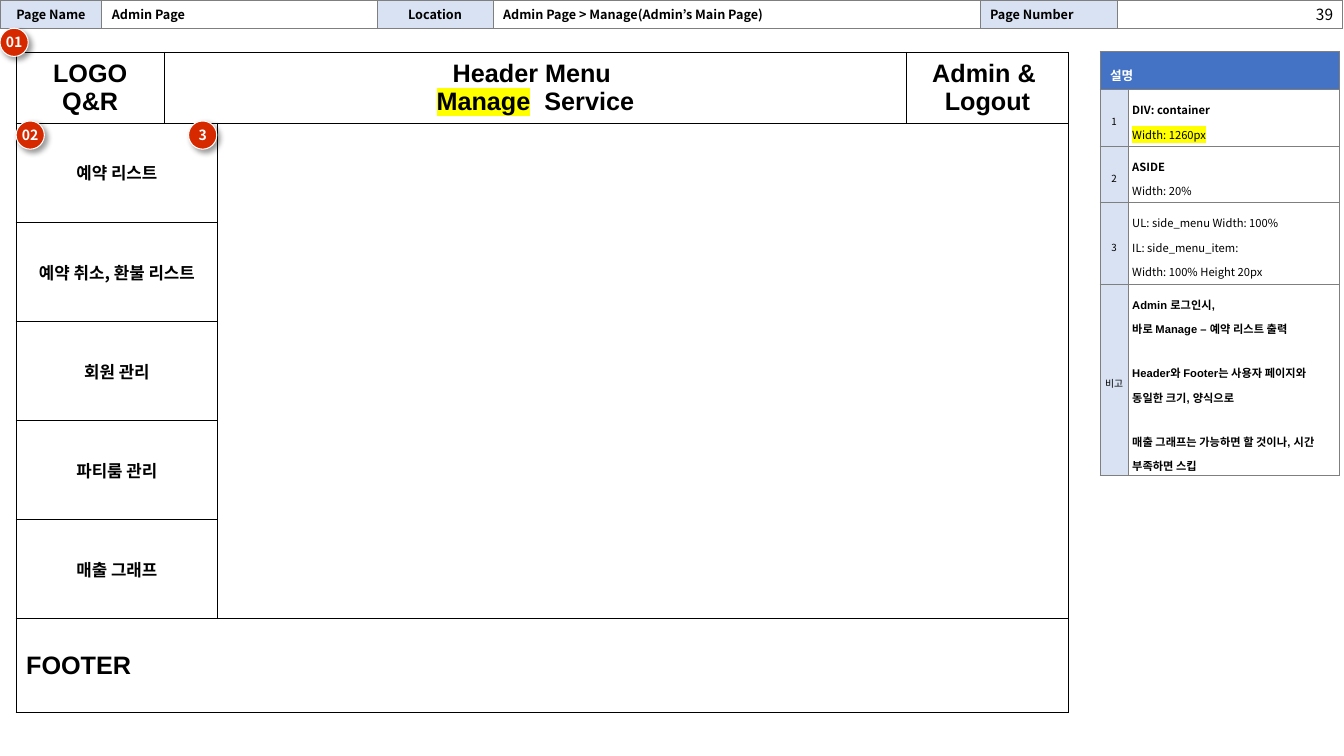
"""Build the admin page wireframe slide with its header bar and description table."""
from lxml.etree import SubElement
from pptx import Presentation
from pptx.dml.color import RGBColor
from pptx.enum.shapes import MSO_SHAPE as Shape
from pptx.enum.text import MSO_ANCHOR as Anchor, PP_ALIGN as Align
from pptx.oxml import parse_xml
from pptx.oxml.ns import nsdecls, qn
from pptx.util import Inches, Pt

KOREAN = "Noto Sans CJK KR"
HIGHLIGHTED = ("Manage", "Width: 1260px")
WHITE, PALE_BLUE, BLUE, RED, GREY, BLACK = "FFFFFF", "D8E2F3", "4472C4", "D62900", "7F7F7F", "000000"
MARGINS = ("margin_left", "margin_top", "margin_right", "margin_bottom")


def write(paragraphs_owner, lines, size, bold=False, font=KOREAN, color=BLACK, align=Align.LEFT, spacing=1.0):
    for index, line in enumerate(lines):
        paragraph = paragraphs_owner.paragraphs[0] if index == 0 else paragraphs_owner.add_paragraph()
        head, _, tail = line.partition("|")
        paragraph.text = head
        if tail:
            paragraph.add_run().text = tail
        paragraph.alignment, paragraph.line_spacing = align, spacing
        if not line:
            SubElement(paragraph._p, qn("a:endParaRPr"), sz=str(size * 100))
        for run in paragraph.runs:
            for key, value in {"size": Pt(size), "bold": bold, "name": font}.items():
                setattr(run.font, key, value)
            run.font.color.rgb = RGBColor.from_string(color)
            properties = run.font._element
            SubElement(properties, qn("a:ea"), typeface=KOREAN)
            if run.text in HIGHLIGHTED:
                properties.find(qn("a:solidFill")).addnext(parse_xml(
                    f'<a:highlight {nsdecls("a")}><a:srgbClr val="FFFF00"/></a:highlight>'))


def add_grid(left, top, widths, heights, edge, contents, merges=()):
    grid = slide.shapes.add_table(len(heights), len(widths), Inches(left), Inches(top),
                                  Inches(sum(widths)), Inches(sum(heights))).table
    grid.first_row = grid.horz_banding = False
    for column, width in zip(grid.columns, widths):
        column.width = Inches(width)
    for row, height in zip(grid.rows, heights):
        row.height = Inches(height)
    for r in range(len(heights)):
        for c in range(len(widths)):
            fill, lines, style, margins = contents.get((r, c), (WHITE, [""], {"size": 8}, (0.1, 0.05) * 2))
            cell = grid.cell(r, c)
            for name, margin in zip(MARGINS, margins):
                setattr(cell, name, Inches(margin))
            cell.vertical_anchor = Anchor.MIDDLE
            for side in "LRTB":
                cell._tc.get_or_add_tcPr().append(parse_xml(
                    f'<a:ln{side} {nsdecls("a")} w="9525"><a:solidFill><a:srgbClr val="{edge}"/>'
                    f'</a:solidFill></a:ln{side}>'))
            cell.fill.solid()
            cell.fill.fore_color.rgb = RGBColor.from_string(fill)
            write(cell.text_frame, lines, **style)
    for start, end in merges:
        grid.cell(*start).merge(grid.cell(*end))
    return grid


deck = Presentation()
deck.slide_width, deck.slide_height = Inches(13.33), Inches(7.5)
slide = deck.slides.add_slide(deck.slide_layouts[6])
normal_margins, number_margins, note_margins = (0.1, 0.05) * 2, (0, 0.05) * 2, (0.04,) * 4

page_labels = ["Page Name", "Admin Page", "Location", "Admin Page > Manage(Admin’s Main Page)", "Page Number", ""]
page_info = {}
for column, label in enumerate(page_labels):
    align = Align.CENTER if label in ("Page Name", "Location") else Align.LEFT
    page_info[0, column] = (WHITE if column % 2 else PALE_BLUE, [label],
                            {"size": 9, "bold": True, "align": align}, normal_margins)
add_grid(0, 0, [1.01, 2.73, 1.15, 4.83, 1.36, 2.24], [0.28], GREY, page_info)

page_number = slide.shapes.add_textbox(Inches(11.07), 0, Inches(2.25), Inches(0.25)).text_frame
page_number.word_wrap = True
write(page_number, ["39"], 11, align=Align.RIGHT)

banner = {"size": 18, "bold": True, "font": "Arial", "align": Align.CENTER}
wireframe = {
    (0, 0): (WHITE, ["LOGO", "Q&R"], banner, normal_margins),
    (0, 1): (WHITE, ["Header Menu ", "Manage|  Service"], banner, normal_margins),
    (0, 3): (WHITE, ["Admin & \vLogout"], banner, normal_margins),
    (6, 0): (WHITE, ["FOOTER"], banner | {"align": Align.LEFT}, normal_margins),
}
side_menu = ["예약 리스트", "예약 취소, 환불 리스트", "회원 관리", "파티룸 관리", "매출 그래프"]
for row, item in enumerate(side_menu, 1):
    wireframe[row, 0] = (WHITE, [item], {"size": 12, "bold": True, "align": Align.CENTER}, normal_margins)
wireframe_merges = [((0, 1), (0, 2)), ((1, 2), (5, 3)), ((6, 0), (6, 3))]
wireframe_merges += [((row, 0), (row, 1)) for row in range(1, 6)]
add_grid(0.16, 0.52, [1.47, 0.53, 6.83, 1.61], [0.67] + [0.984] * 5 + [0.93], BLACK, wireframe, wireframe_merges)

note_style = {"size": 8, "spacing": 1.5}
notes = [
    ("1", ["DIV: container", "Width: 1260px"], {}),
    ("2", ["ASIDE", "Width: 20%"], {}),
    ("3", ["UL: side_menu Width: 100%", "IL: side_menu_item:", "Width: 100% Height 20px"], {}),
    ("비고", ["Admin 로그인시,", "바로 Manage – 예약 리스트 출력", "Header와 Footer는 사용자 페이지와 동일한 크기, 양식으로",
            "매출 그래프는 가능하면 할 것이나, 시간 부족하면 스킵"], {"bold": True, "font": "Arial"}),
]
description = {(0, 0): (BLUE, ["설명"], {"size": 9, "bold": True, "color": WHITE, "spacing": 1.5}, normal_margins)}
for row, (number, lines, emphasis) in enumerate(notes, 1):
    description[row, 0] = (PALE_BLUE, [number], {"size": 7, "align": Align.CENTER, "spacing": 1.5}, number_margins)
    description[row, 1] = (WHITE, lines, note_style | emphasis, note_margins)
description_grid = add_grid(10.91, 0.51, [0.28, 2.1], [0.38, 0.56, 0.56, 0.81, 1.9], GREY,
                            description, [((0, 0), (0, 1))])
for row in (1, 2):
    description_grid.cell(row, 1).text_frame.paragraphs[0].runs[0].font.bold = True
for remark in description_grid.cell(4, 1).text_frame.paragraphs[2:]:
    remark.space_before = Pt(14)

for number, left, top in [("01", 0, 0.28), ("02", 0.16, 1.2), ("3", 1.87, 1.2)]:
    badge = slide.shapes.add_shape(Shape.OVAL, Inches(left), Inches(top), Inches(0.28), Inches(0.28))
    badge.fill.solid()
    badge.fill.fore_color.rgb = RGBColor.from_string(RED)
    badge.line.color.rgb = RGBColor.from_string(WHITE)
    badge.line.width = Pt(0.75)
    badge.shadow.inherit = False
    badge._element.spPr.find(qn("a:effectLst")).append(parse_xml(
        f'<a:outerShdw {nsdecls("a")} blurRad="50800" dist="38100" dir="2700000" algn="tl" rotWithShape="0">'
        '<a:srgbClr val="000000"><a:alpha val="40000"/></a:srgbClr></a:outerShdw>'))
    for name, value in (dict.fromkeys(MARGINS, 0) | {"vertical_anchor": Anchor.MIDDLE, "word_wrap": False}).items():
        setattr(badge.text_frame, name, value)
    write(badge.text_frame, [number], 10, bold=True, color=WHITE, align=Align.CENTER)

deck.save("out.pptx")
